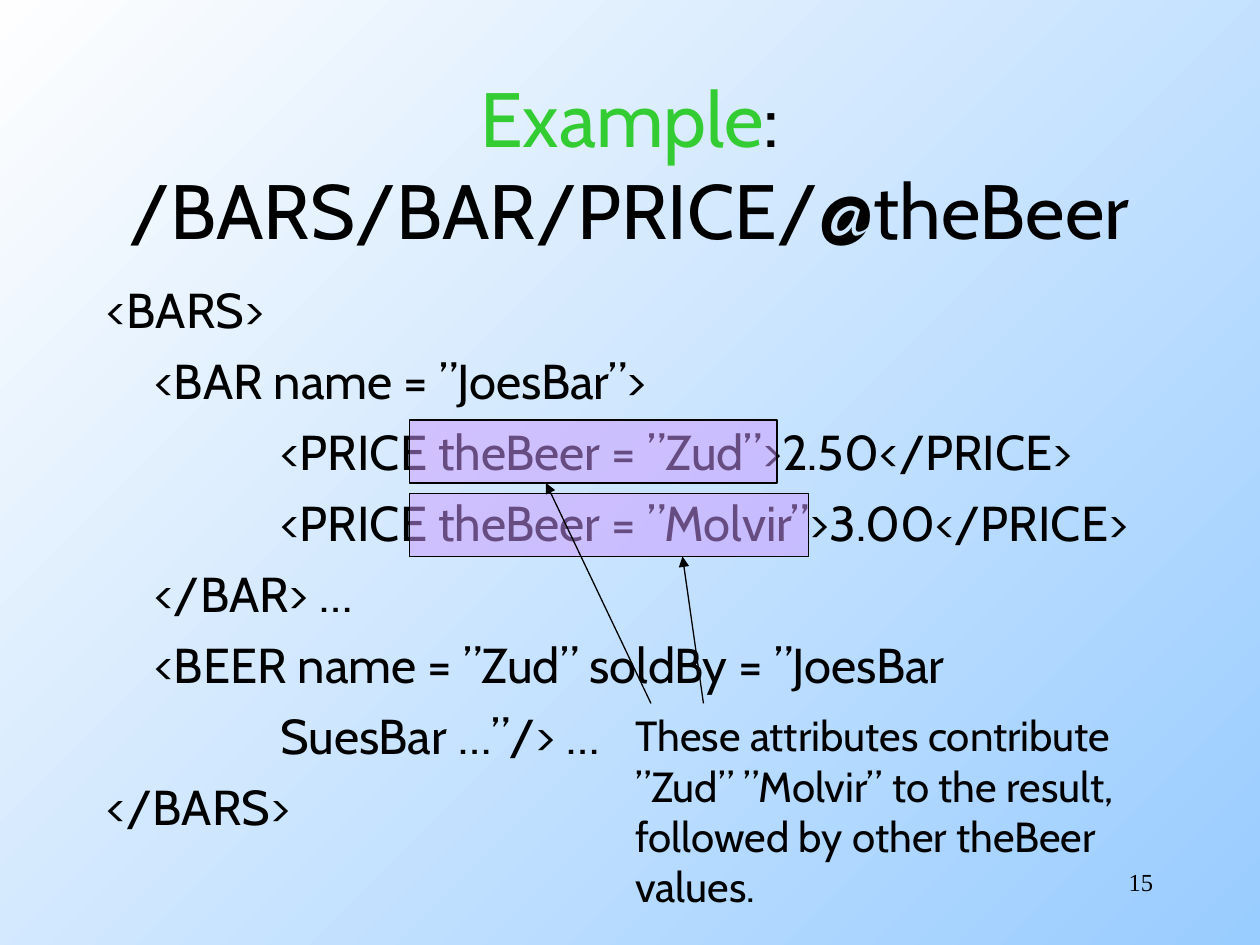
from lxml.etree import SubElement
from pptx import Presentation
from pptx.dml.color import RGBColor
from pptx.enum.shapes import MSO_CONNECTOR, MSO_SHAPE
from pptx.enum.text import MSO_ANCHOR, PP_ALIGN
from pptx.oxml.ns import qn
from pptx.util import Pt

# Content; each code line has its indent depth
TITLE = [("Example", "accent"), (": /BARS/BAR/PRICE/@theBeer", "ink")]
CODE = [
    (0, "<BARS>"),
    (1, "<BAR name = ”JoesBar”>"),
    (2, "<PRICE theBeer = ”Zud”>2.50</PRICE>"),
    (2, "<PRICE theBeer = ”Molvir”>3.00</PRICE>"),
    (1, "</BAR> …"),
    (1, "<BEER name = ”Zud” soldBy = ”JoesBar"),
    (2, "SuesBar …”/> …"),
    (0, "</BARS>"),
]
NOTE = [
    "These attributes contribute",
    "”Zud” ”Molvir” to the result,",
    "followed by other theBeer",
    "values.",
]
PAGE_NUMBER = "15"

# Positions in points
HIGHLIGHTS = [(234, 240, 210, 36), (234, 282, 228, 36)]  # left, top, width, height
ARROWS = [(372, 402, 312, 276), (402, 402, 390, 318)]  # from x, y, to x, y
CODE_INDENTS = (0, 27, 99)  # by depth

THEME = {
    "ink": RGBColor(0x00, 0x00, 0x00),
    "accent": RGBColor(0x33, 0xCC, 0x33),
    "highlight": RGBColor(0xCC, 0x99, 0xFF),
    "back_from": RGBColor(0x99, 0xCC, 0xFF),
    "back_to": RGBColor(0xFE, 0xFE, 0xFE),
    "font": "Cabin",
    "number_font": "Times New Roman",
    "title": 44, "code": 28, "note": 24, "number": 14,
    "line": 0.75,
}


def add_text(slide, box, paragraphs, size, font=THEME["font"], align=PP_ALIGN.LEFT,
             anchor=MSO_ANCHOR.TOP, wrap=True):
    """Add a text box; each paragraph is a list of (text, colour key) runs."""
    frame = slide.shapes.add_textbox(*map(Pt, box)).text_frame
    frame.word_wrap = wrap
    frame.vertical_anchor = anchor
    for index, runs in enumerate(paragraphs):
        paragraph = frame.add_paragraph() if index else frame.paragraphs[0]
        paragraph.alignment = align
        for text, colour in runs:
            run = paragraph.add_run()
            run.text = text
            run.font.name = font
            run.font.size = Pt(size)
            run.font.color.rgb = THEME[colour]
    return frame


def indent_code(frame):
    """Indent every code line by its depth and space the lines."""
    for index, (paragraph, (depth, _)) in enumerate(zip(frame.paragraphs, CODE)):
        properties = paragraph._p.get_or_add_pPr()
        properties.set("marL", str(Pt(CODE_INDENTS[depth])))
        properties.set("indent", "0")
        if index:
            paragraph.space_before = Pt(7)


def add_highlight(slide, box):
    highlight = slide.shapes.add_shape(MSO_SHAPE.RECTANGLE, *map(Pt, box))
    highlight.shadow.inherit = False
    highlight.fill.solid()
    highlight.fill.fore_color.rgb = THEME["highlight"]
    colour = highlight.fill._xPr.find(qn("a:solidFill"))[0]
    SubElement(colour, qn("a:alpha"), val="50000")
    highlight.line.color.rgb = THEME["ink"]
    highlight.line.width = Pt(THEME["line"])


def add_arrow(slide, ends):
    arrow = slide.shapes.add_connector(MSO_CONNECTOR.STRAIGHT, *map(Pt, ends))
    arrow.line.color.rgb = THEME["ink"]
    arrow.line.width = Pt(THEME["line"])
    SubElement(arrow.line._get_or_add_ln(), qn("a:tailEnd"), type="triangle")
    SubElement(arrow._element.spPr, qn("a:effectLst"))


def main():
    deck = Presentation()
    deck.slide_width, deck.slide_height = Pt(720), Pt(540)
    slide = deck.slides.add_slide(deck.slide_layouts[6])

    # Background, blue at the lower right
    background = slide.background.fill
    background.gradient()
    background.gradient_angle = 135
    for stop, key in zip(background.gradient_stops, ("back_from", "back_to")):
        stop.color.rgb = THEME[key]

    # Title and code
    add_text(slide, (0, 48, 720, 90), [TITLE], THEME["title"],
             align=PP_ALIGN.CENTER, anchor=MSO_ANCHOR.MIDDLE)
    code_lines = [[(text, "ink")] for _, text in CODE]
    indent_code(add_text(slide, (54, 156, 636, 324), code_lines, THEME["code"]))

    # Highlighted attributes, explained by the note
    for box in HIGHLIGHTS:
        add_highlight(slide, box)
    add_text(slide, (356, 402, 321, 122), [[(line, "ink")] for line in NOTE],
             THEME["note"], wrap=False)
    for ends in ARROWS:
        add_arrow(slide, ends)

    # Page number
    add_text(slide, (516, 492, 150, 36), [[(PAGE_NUMBER, "ink")]], THEME["number"],
             font=THEME["number_font"], align=PP_ALIGN.RIGHT)

    deck.save("out.pptx")


if __name__ == "__main__":
    main()
